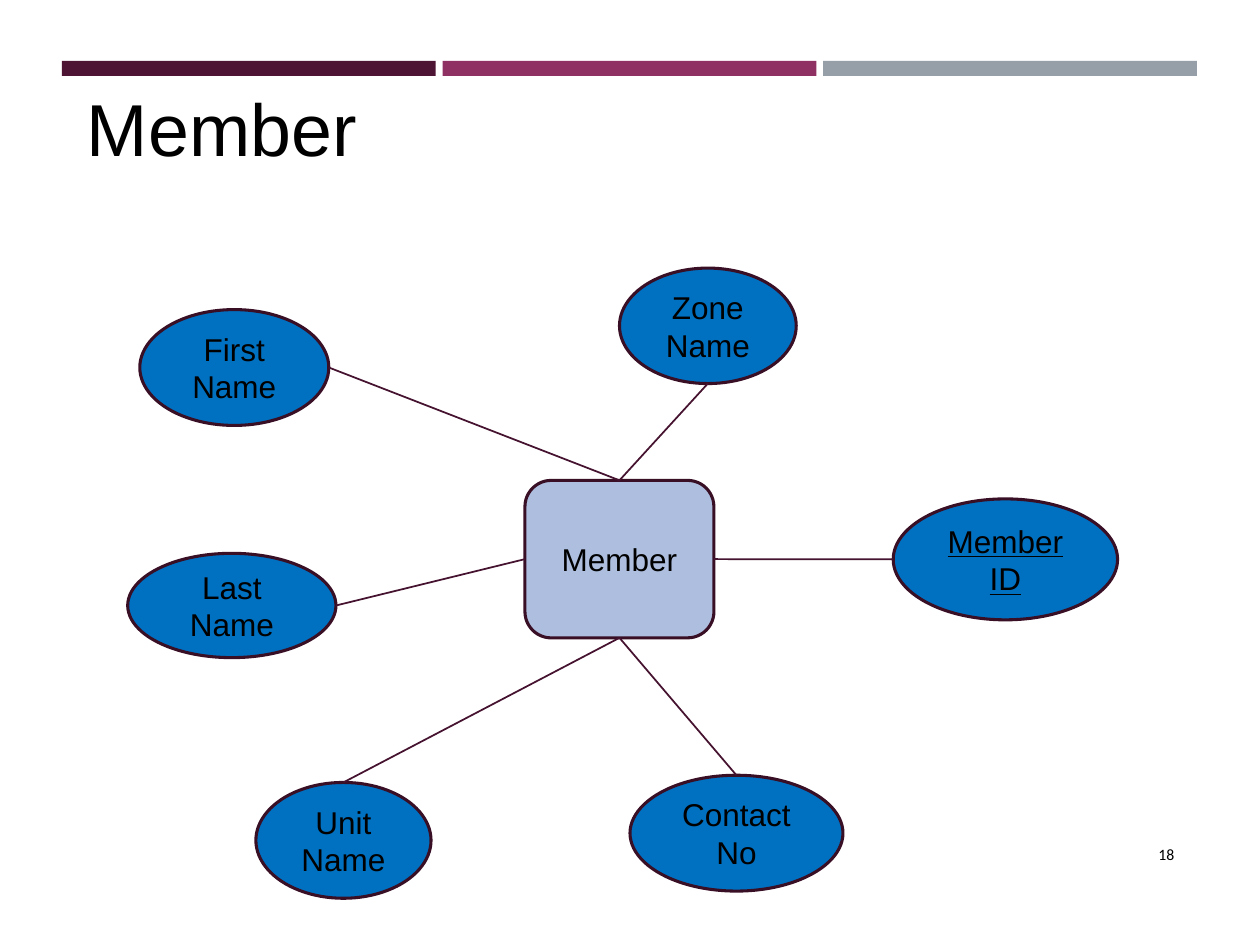
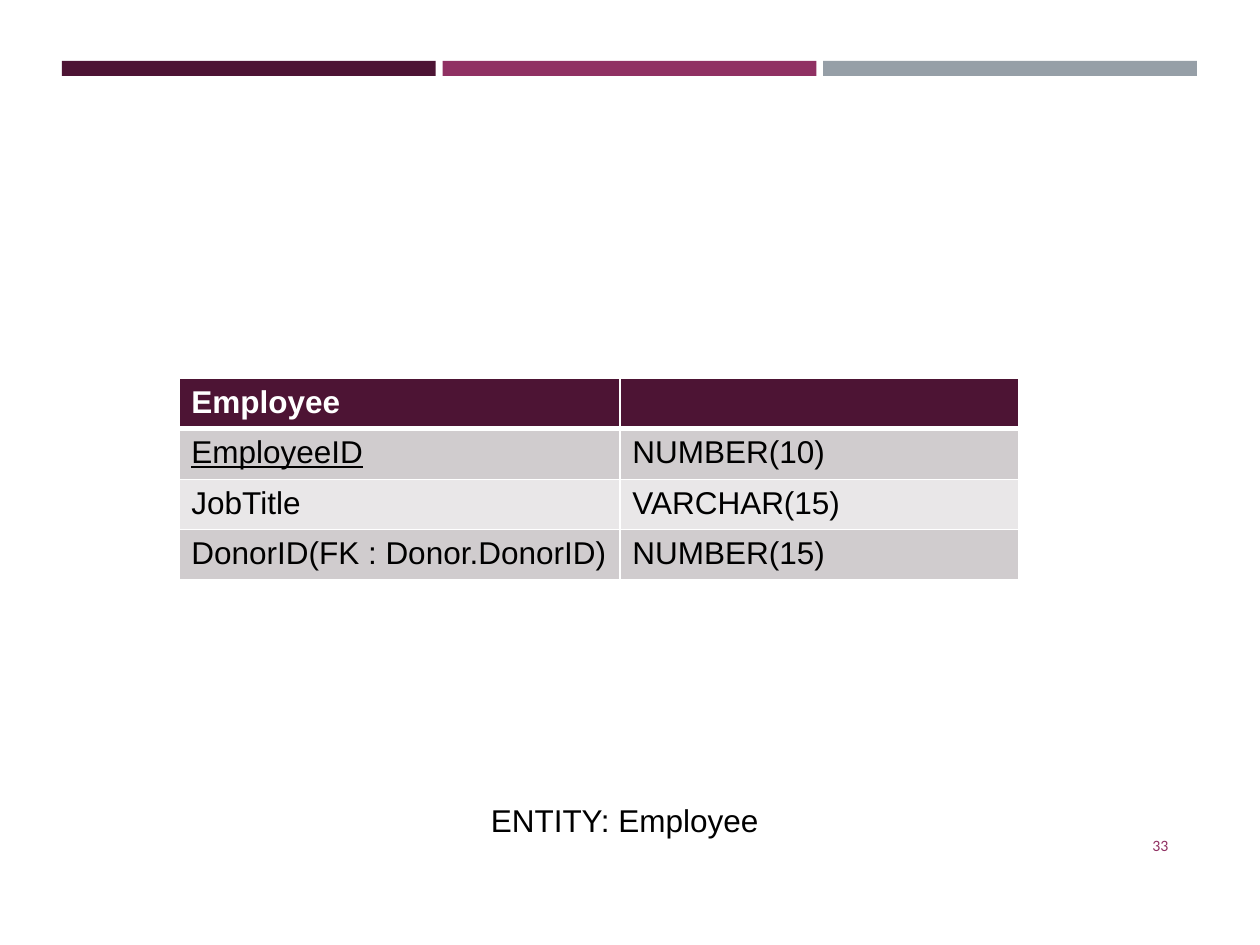
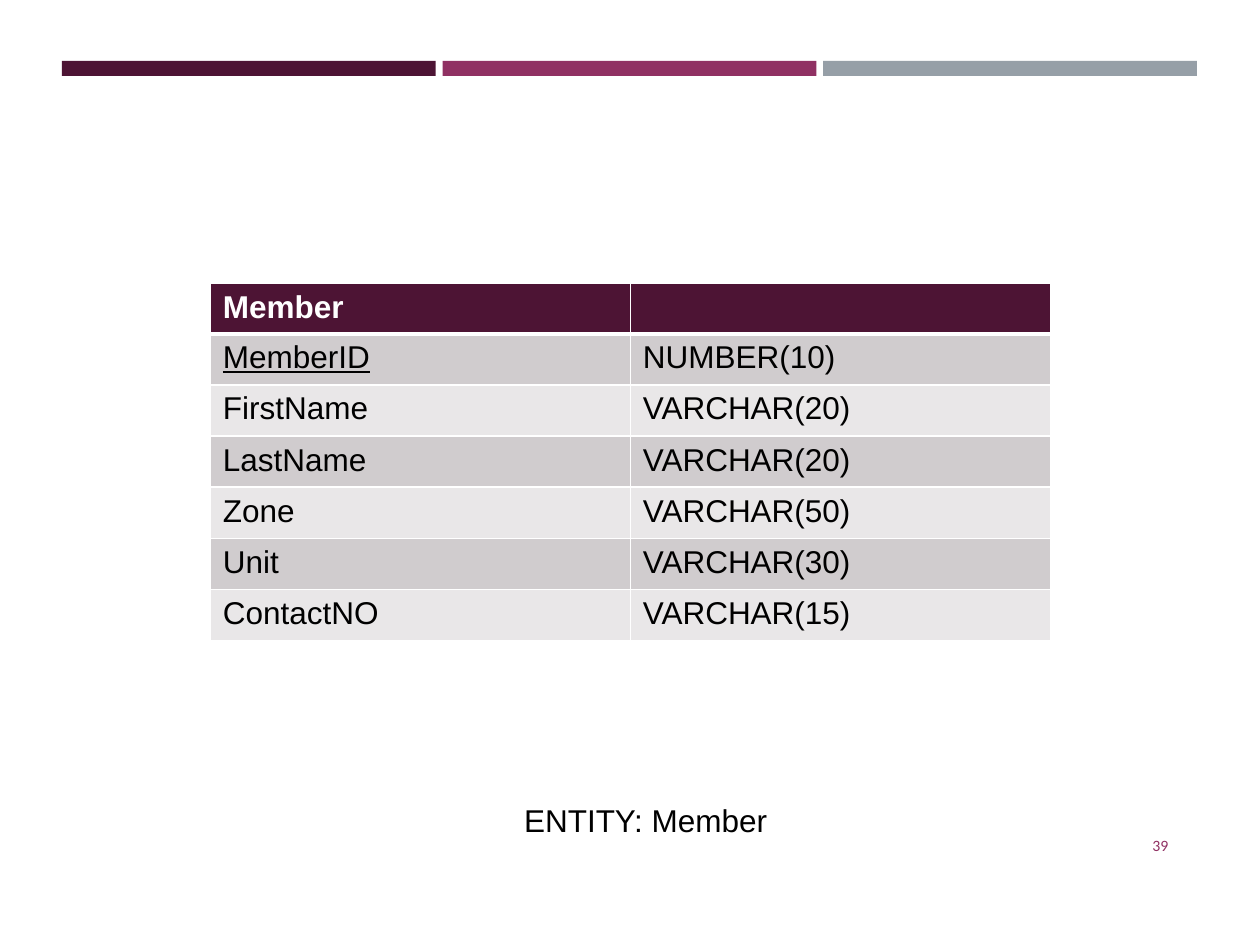
from pptx import Presentation
from pptx.dml.color import RGBColor
from pptx.enum.shapes import MSO_CONNECTOR, MSO_SHAPE
from pptx.enum.text import MSO_ANCHOR, MSO_AUTO_SIZE, PP_ALIGN
from pptx.oxml.ns import qn
from pptx.util import Pt
from lxml.etree import SubElement

PLUM = RGBColor(0x4D, 0x14, 0x34)
BERRY = RGBColor(0x90, 0x31, 0x63)
SLATE = RGBColor(0x96, 0x9F, 0xA7)
EDGE = RGBColor(0x39, 0x0F, 0x26)
WIRE = RGBColor(0x45, 0x12, 0x2F)
BLUE = RGBColor(0x00, 0x70, 0xC0)
PALE = RGBColor(0xAD, 0xBE, 0xDE)
DARK = RGBColor(0xD0, 0xCC, 0xCE)
LIGHT = RGBColor(0xE9, 0xE7, 0xE8)
BLACK = RGBColor(0x00, 0x00, 0x00)
WHITE = RGBColor(0xFF, 0xFF, 0xFF)

TRAITS = [
    ("Unit Name", (146.2, 447.1, 100.1, 66.2), "bottom", "top"),
    ("Zone Name", (354, 153.2, 101, 66), "top", "bottom"),
    ("Last Name", (73, 316.2, 119, 59.6), "left", "right"),
    ("Member ID", (510.4, 285.1, 128.2, 69.1), "right", "left"),
    ("First Name", (79.9, 176.9, 108, 66.2), "top", "right"),
    ("Contact No", (360, 443, 121.7, 66.2), "bottom", "top"),
]
STAFF = [
    ("Employee", ""),
    ("EmployeeID", "NUMBER(10)"),
    ("JobTitle", "VARCHAR(15)"),
    ("DonorID(FK : Donor.DonorID)", "NUMBER(15)"),
]
PEOPLE = [
    ("Member", ""),
    ("MemberID", "NUMBER(10)"),
    ("FirstName", "VARCHAR(20)"),
    ("LastName", "VARCHAR(20)"),
    ("Zone", "VARCHAR(50)"),
    ("Unit", "VARCHAR(30)"),
    ("ContactNO", "VARCHAR(15)"),
]


def points(box):
    return [Pt(n) for n in box]


def write(frame, text, size=18, color=BLACK, align=PP_ALIGN.LEFT,
          face="Arial", bold=False, under=False):
    frame.text = text
    para = frame.paragraphs[0]
    para.alignment = align
    for run in para.runs:
        font = run.font
        font.name, font.size = face, Pt(size)
        font.bold, font.underline = bold, under
        font.color.rgb = color


def add_shape(slide, kind, box, fill, edge=None):
    shape = slide.shapes.add_shape(kind, *points(box))
    shape.shadow.inherit = False
    shape.fill.solid()
    shape.fill.fore_color.rgb = fill
    if edge is None:
        shape.line.fill.background()
    else:
        shape.line.color.rgb = edge
        shape.line.width = Pt(1.75)
    return shape


def add_bands(deck, slide):
    tree = deck.slide_master.element.cSld.spTree
    for i, color in enumerate((PLUM, BERRY, SLATE)):
        box = (35.4 + 217.5 * i, 34.8, 213.6, 8.6)
        band = add_shape(slide, MSO_SHAPE.RECTANGLE, box, color)
        band.element.nvSpPr.cNvPr.set("id", str(20 + i))
        tree.insert(2 + i, band.element)


def add_title(slide, text):
    title = slide.shapes.title
    title.left, title.top, title.width, title.height = points((42.5, 42.5, 555.8, 59))
    frame = title.text_frame
    frame.vertical_anchor = MSO_ANCHOR.BOTTOM
    write(frame, text, 42)


def add_number(slide, text, box, color, fill=None):
    label = slide.shapes.add_textbox(*points(box))
    if fill is not None:
        label.fill.solid()
        label.fill.fore_color.rgb = fill
    frame = label.text_frame
    frame.word_wrap = True
    frame.vertical_anchor = MSO_ANCHOR.MIDDLE
    write(frame, text, 9, color, PP_ALIGN.RIGHT, "Calibri")


def add_node(slide, kind, text, box, fill, under=False):
    node = add_shape(slide, kind, box, fill, EDGE)
    frame = node.text_frame
    frame.vertical_anchor = MSO_ANCHOR.MIDDLE
    write(frame, text, align=PP_ALIGN.CENTER, under=under)
    return node


def find_side(node, side):
    across = {"left": 0, "right": 2}.get(side, 1)
    down = {"top": 0, "bottom": 2}.get(side, 1)
    return (node.left + node.width * across // 2,
            node.top + node.height * down // 2)


def add_link(slide, start, end):
    link = slide.shapes.add_connector(MSO_CONNECTOR.STRAIGHT, *start, *end)
    link.line.color.rgb = WIRE
    link.line.width = Pt(1)
    SubElement(link.element.spPr, qn("a:effectLst"))


def add_border(cell, head):
    props = cell._tc.get_or_add_tcPr()
    for side in "LRTB":
        width = 3 if head and side == "B" else 1
        line = SubElement(props, qn("a:ln" + side), w=str(Pt(width)))
        fill = SubElement(line, qn("a:solidFill"))
        SubElement(fill, qn("a:srgbClr"), val=str(WHITE))


def add_grid(slide, rows, left, top, widths, first, other):
    tall = first + other * (len(rows) - 1)
    box = points((left, top, sum(widths), tall))
    table = slide.shapes.add_table(len(rows), len(widths), *box).table
    for col, width in zip(table.columns, widths):
        col.width = Pt(width)
    for r, row in enumerate(rows):
        head = r == 0
        table.rows[r].height = Pt(first if head else other)
        for c, text in enumerate(row):
            cell = table.cell(r, c)
            add_border(cell, head)
            cell.fill.solid()
            cell.fill.fore_color.rgb = PLUM if head else (LIGHT, DARK)[r % 2]
            write(cell.text_frame, text, color=WHITE if head else BLACK,
                  bold=head, under=(r, c) == (1, 0))


def add_note(slide, text, left):
    note = slide.shapes.add_textbox(*points((left, 454.3, 306, 30)))
    frame = note.text_frame
    frame.word_wrap = True
    frame.auto_size = MSO_AUTO_SIZE.SHAPE_TO_FIT_TEXT
    write(frame, text, align=PP_ALIGN.CENTER)


def draw_member(slide):
    add_number(slide, "18", (608.4, 473.8, 69.8, 28.8), BLACK, WHITE)
    core = add_node(slide, MSO_SHAPE.ROUNDED_RECTANGLE, "Member",
                    (300, 274.5, 108, 90), PALE)
    links = []
    for text, box, start, end in TRAITS:
        node = add_node(slide, MSO_SHAPE.OVAL, text, box, BLUE,
                        text == "Member ID")
        links.append((find_side(core, start), find_side(node, end)))
    add_title(slide, "Member")
    for start, end in links:
        add_link(slide, start, end)


def draw_entity(slide, number, rows, left, top, widths, first, other, note):
    add_number(slide, number, (614.2, 468.7, 60.5, 28.8), BERRY)
    add_grid(slide, rows, left, top, widths, first, other)
    add_note(slide, "ENTITY: " + rows[0][0], note)


def main():
    deck = Presentation()
    deck.slide_width, deck.slide_height = Pt(720), Pt(540)
    titled, blank = deck.slide_layouts[5], deck.slide_layouts[6]
    slide = deck.slides.add_slide(titled)
    add_bands(deck, slide)
    draw_member(slide)
    draw_entity(deck.slides.add_slide(blank), "33", STAFF,
                102.2, 216.2, (252, 228), 27, 27, 204)
    draw_entity(deck.slides.add_slide(blank), "39", PEOPLE,
                120.2, 162, (240, 240), 19.4, 29.2, 216)
    deck.save("out.pptx")


if __name__ == "__main__":
    main()
